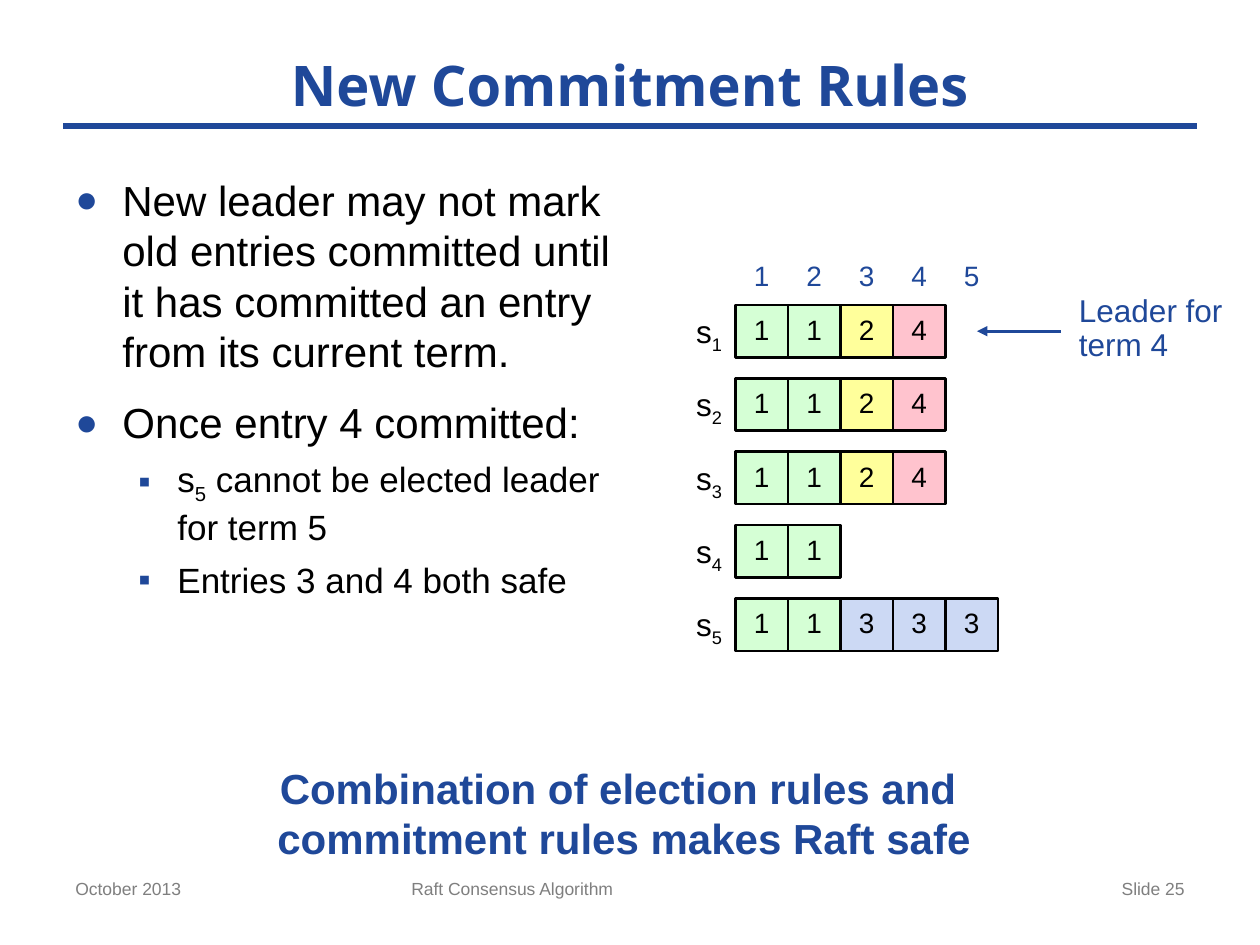
from dataclasses import dataclass
from lxml.etree import SubElement
from pptx import Presentation
from pptx.dml.color import RGBColor
from pptx.enum.shapes import MSO_CONNECTOR as Connector, MSO_SHAPE as Shape
from pptx.enum.text import MSO_ANCHOR as Anchor, MSO_AUTO_SIZE as AutoSize, PP_ALIGN as Align
from pptx.oxml.ns import qn
from pptx.util import Emu, Pt

SCALE = 914400 / 126


@dataclass(frozen=True)
class Theme:
    """Colours, fonts and type sizes of the slide."""
    accent: str = "1F4899"
    ink: str = "000000"
    muted: str = "7F7F7F"
    body_font: str = "Arial"
    title_font: str = "Open Sans"
    title: int = 32
    large: int = 24
    medium: int = 20
    label: int = 18
    cell: int = 16
    small: int = 10


THEME = Theme()
TERM_FILLS = {"1": "D5FFD5", "2": "FFFF9B", "3": "CCD9F4", "4": "FFC3CE"}
SERVER_LOGS = ["1124", "1124", "1124", "11", "11333"]
BULLETS = [
    (0, "New leader may not mark old entries committed until "
        "it has committed an entry from its current term."),
    (0, "Once entry 4 committed:"),
    (1, "s_5 cannot be elected leader for term 5"),
    (1, "Entries 3 and 4 both safe"),
]
LEVELS = [
    {"size": THEME.large, "margin": 47, "hang": 47, "before": 12, "mark": "●", "percent": 90},
    {"size": THEME.medium, "margin": 102, "hang": 39, "before": 6, "mark": "▪", "percent": 100},
]


def px(length):
    """Turn picture pixels into EMU."""
    return Emu(round(length * SCALE))


def rgb(value):
    """Turn a hex string into a colour."""
    return RGBColor.from_string(value)


def apply(target, values):
    """Set each named attribute on the target."""
    for name, value in values.items():
        setattr(target, name, value)


def write(para, text, size, color, font=THEME.body_font, bold=False):
    """Write text in one style, with the character after an underscore as a subscript."""
    plain, *marked = text.split("_")
    pieces = [(plain, False)]
    for part in marked:
        pieces += [(part[0], True), (part[1:], False)]
    for piece, lowered in pieces:
        if piece:
            span = para.add_run()
            span.text = piece
            apply(span.font, {"size": Pt(size), "name": font, "bold": bold})
            span.font.color.rgb = rgb(color)
            if lowered:
                span.font._element.set("baseline", "-25000")


def fill_text(frame, lines, size, color, align=Align.LEFT, spacing=None, inset=None,
              font=THEME.body_font, bold=False, **frame_format):
    """Format a text frame and write one paragraph for each line."""
    apply(frame, {"word_wrap": True, **frame_format})
    if inset is not None:
        apply(frame, {f"margin_{side}": px(inset) for side in ("left", "top", "right", "bottom")})
    for index, line in enumerate(lines):
        para = frame.add_paragraph() if index else frame.paragraphs[0]
        para.alignment = align
        if spacing:
            para.line_spacing = Pt(spacing)
        for part_index, part in enumerate(line.split("\n")):
            if part_index:
                para.add_line_break()
            write(para, part, size, color, font, bold)


def add_text(page, box, lines, size, color, **text_format):
    """Add a text box that fills the given box."""
    frame = page.shapes.add_textbox(*map(px, box)).text_frame
    fill_text(frame, lines, size, color, **text_format)


def add_line(page, start, end, width, arrow=False):
    """Add an accent line, with an optional arrowhead at its end."""
    line = page.shapes.add_connector(Connector.STRAIGHT, *map(px, start + end))
    line.line.color.rgb = rgb(THEME.accent)
    line.line.width = Pt(width)
    if arrow:
        SubElement(line.line._get_or_add_ln(), qn("a:tailEnd"), type="triangle")
    SubElement(line._element.spPr, qn("a:effectLst"))


def add_header(page, box):
    """Add the title and the rule under it."""
    left, top, width, height = box
    add_text(page, box, ["New Commitment Rules"], THEME.title, THEME.accent, align=Align.CENTER,
             font=THEME.title_font, bold=True, vertical_anchor=Anchor.MIDDLE)
    bottom = top + height
    add_line(page, (left + 21, bottom), (left + width - 21, bottom), 4)


def add_bullets(page, box):
    """Add the bulleted rules in two levels."""
    frame = page.shapes.add_textbox(*map(px, box)).text_frame
    frame.word_wrap = True
    for index, (depth, text) in enumerate(BULLETS):
        level = LEVELS[depth]
        para = frame.add_paragraph() if index else frame.paragraphs[0]
        apply(para, {"level": depth, "space_before": Pt(level["before"])})
        write(para, text, level["size"], THEME.ink)
        props = para._p.get_or_add_pPr()
        props.set("marL", str(px(level["margin"])))
        props.set("indent", str(-px(level["hang"])))
        color = SubElement(props, qn("a:buClr"))
        SubElement(color, qn("a:srgbClr"), val=THEME.accent)
        SubElement(props, qn("a:buSzPct"), val=str(level["percent"] * 1000))
        SubElement(props, qn("a:buFont"), typeface=THEME.body_font)
        SubElement(props, qn("a:buChar"), char=level["mark"])


def add_entry(page, box, term):
    """Add one log entry, coloured by its term."""
    entry = page.shapes.add_shape(Shape.RECTANGLE, *map(px, box))
    entry.shadow.inherit = False
    entry.fill.solid()
    entry.fill.fore_color.rgb = rgb(TERM_FILLS[term])
    entry.line.color.rgb = rgb(THEME.ink)
    entry.line.width = Pt(1.5)
    fill_text(entry.text_frame, [term], THEME.cell, THEME.ink, align=Align.CENTER,
              spacing=17, inset=0, vertical_anchor=Anchor.MIDDLE)


def add_logs(page, box):
    """Add the index row, the server logs and the leader note."""
    left, top, width, height = box
    columns = max(map(len, SERVER_LOGS))
    cell = width / (columns + 1)
    row_step = (height - 53 - cell) / (len(SERVER_LOGS) - 1)
    grid_left, grid_top = left + cell, top + 53
    for column in range(columns):
        add_text(page, (grid_left + column * cell, top, cell, 46), [str(column + 1)],
                 THEME.cell, THEME.accent, align=Align.CENTER)
    for row, log in enumerate(SERVER_LOGS):
        row_top = grid_top + row * row_step
        add_text(page, (left, row_top + 7, cell, 38), [f"s_{row + 1}"], THEME.label,
                 THEME.ink, align=Align.CENTER, inset=0)
        for column, term in enumerate(log):
            add_entry(page, (grid_left + column * cell, row_top, cell, cell), term)
    right, middle = left + width, grid_top + cell / 2
    add_line(page, (right + 63, middle), (right - 21, middle), 1.5, arrow=True)
    add_text(page, (right + 81, grid_top - 9, 179, 67), ["Leader for\nterm 4"], THEME.label,
             THEME.accent, spacing=19, inset=0)


def add_conclusion(page, box):
    """Add the closing statement."""
    lines = ["Combination of election rules and ", "commitment rules makes Raft safe"]
    add_text(page, box, lines, THEME.large, THEME.accent, align=Align.CENTER, bold=True,
             word_wrap=False, auto_size=AutoSize.SHAPE_TO_FIT_TEXT)


def add_footer(page, box):
    """Add the date, the deck name and the slide number."""
    left, top, width, height = box
    parts = [("October 2013", 0, 294, Align.LEFT),
             ("Raft Consensus Algorithm", 336, 473, Align.LEFT),
             ("Slide 25", width - 294, 294, Align.RIGHT)]
    for text, offset, part_width, align in parts:
        add_text(page, (left + offset, top, part_width, height), [text], THEME.small,
                 THEME.muted, align=align)


def build():
    """Build the slide and save it."""
    deck = Presentation()
    apply(deck, {"slide_width": px(1260), "slide_height": px(945)})
    page = deck.slides.add_slide(deck.slide_layouts[6])
    add_header(page, (42, 42, 1176, 84))
    add_bullets(page, (63, 168, 588, 588))
    add_logs(page, (683, 252, 315, 399))
    add_conclusion(page, (261, 756, 726, 115))
    add_footer(page, (63, 872, 1134, 54))
    deck.save("out.pptx")


build()
